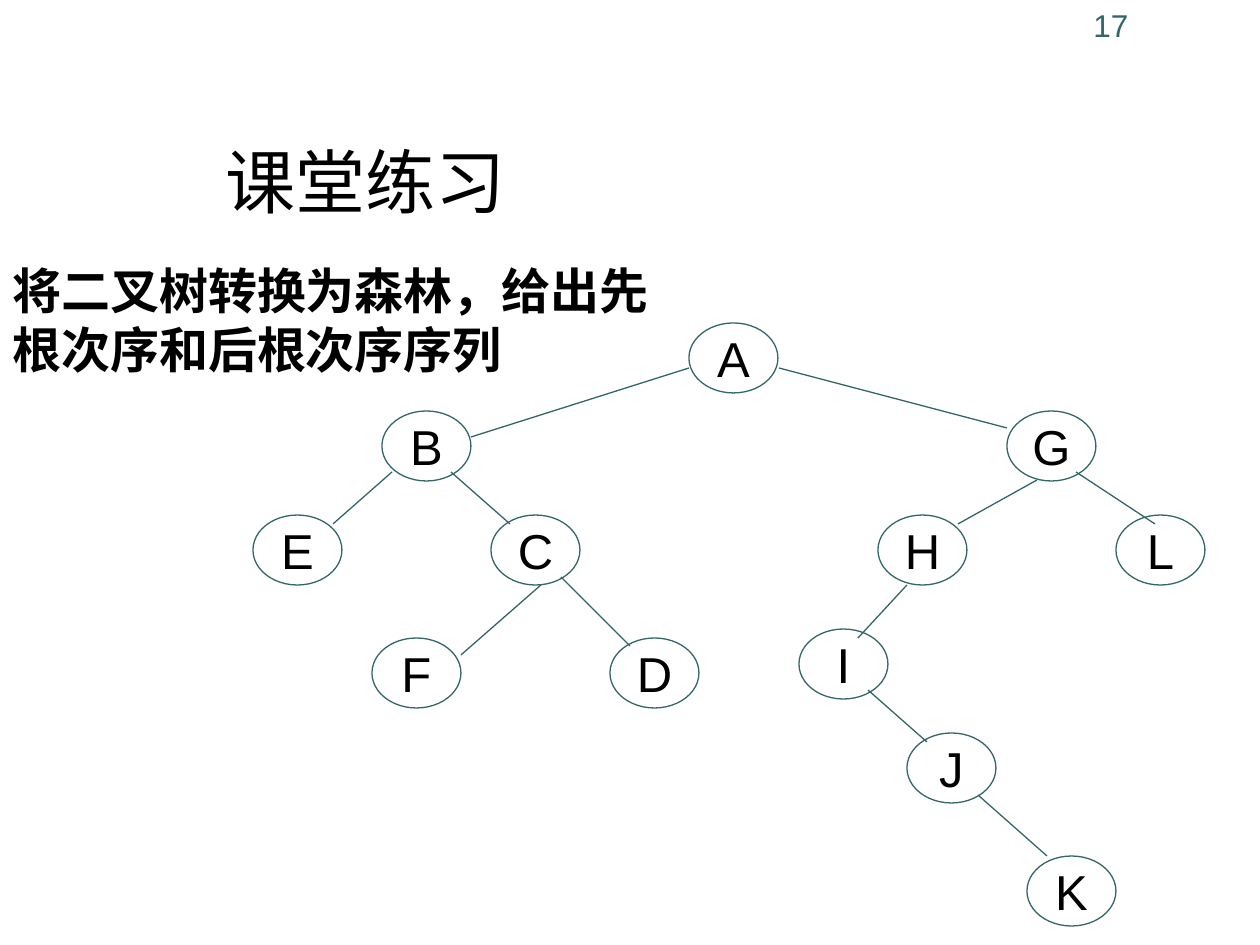
from lxml.etree import SubElement
from pptx import Presentation
from pptx.dml.color import RGBColor
from pptx.enum.shapes import MSO_CONNECTOR, MSO_SHAPE
from pptx.enum.text import MSO_ANCHOR, PP_ALIGN
from pptx.oxml.ns import qn
from pptx.util import Emu, Pt

SCALE = 914400 // 126  # EMU in one pixel
TEAL = RGBColor(0x33, 0x66, 0x66)
BLACK = RGBColor(0, 0, 0)
LINE_WIDTH = Pt(0.74)
NODE_SIZE = (89, 70)

# Left and top of each node, relative to the tree
NODES = {
    "A": (436, 0), "B": (129, 88), "E": (0, 192), "C": (238, 192),
    "F": (119, 315), "D": (357, 315), "I": (546, 306), "J": (654, 410),
    "K": (774, 533), "G": (754, 88), "H": (625, 192), "L": (863, 192),
}

# Parent, child, and the two ends of the branch, relative to each node
BRANCHES = [
    ("A", "B", (0, 45), (89, 26)), ("A", "G", (90, 45), (0, 17)),
    ("B", "E", (10, 61), (80, 9)), ("B", "C", (69, 61), (19, 9)),
    ("G", "H", (30, 69), (80, 9)), ("G", "L", (69, 61), (39, 9)),
    ("C", "F", (50, 70), (89, 17)), ("C", "D", (70, 62), (20, 8)),
    ("H", "I", (29, 70), (59, 9)), ("I", "J", (69, 61), (20, 9)),
    ("J", "K", (71, 62), (20, 0)),
]


def px(*lengths):
    return [Emu(length * SCALE) for length in lengths]


def write(shape, text, size, color=BLACK, bold=False, align=PP_ALIGN.LEFT,
          anchor=MSO_ANCHOR.TOP, wrap=True):
    frame = shape.text_frame
    frame.word_wrap = wrap
    frame.vertical_anchor = anchor
    para = frame.paragraphs[0]
    para.alignment = align
    span = para.add_run()
    span.text = text
    span.font.name = "Arial"
    span.font.size = Pt(size)
    span.font.bold = bold
    span.font.color.rgb = color


def add_text(page, box, text, size, **style):
    write(page.shapes.add_textbox(*px(*box)), text, size, **style)


def add_node(group, left, top, letter):
    node = group.shapes.add_shape(MSO_SHAPE.OVAL, *px(left, top, *NODE_SIZE))
    node.shadow.inherit = False
    node.fill.background()
    node.line.color.rgb = TEAL
    node.line.width = LINE_WIDTH
    write(node, letter, 28, align=PP_ALIGN.CENTER, anchor=MSO_ANCHOR.MIDDLE,
          wrap=False)


def add_branch(group, start, end):
    branch = group.shapes.add_connector(MSO_CONNECTOR.STRAIGHT, *px(*start, *end))
    branch.line.color.rgb = TEAL
    branch.line.width = LINE_WIDTH
    SubElement(branch._element.spPr, qn("a:effectLst"))


def add_tree(page, left, top):
    group = page.shapes.add_group_shape()
    places = {letter: (left + x, top + y) for letter, (x, y) in NODES.items()}
    for letter, place in places.items():
        add_node(group, *place, letter)
    for parent, child, start, end in BRANCHES:
        add_branch(group,
                   [a + b for a, b in zip(places[parent], start)],
                   [a + b for a, b in zip(places[child], end)])


def build_exercise(page):
    # Page number and title
    add_text(page, (1081, 0, 179, 63), "17", 18, color=TEAL)
    add_text(page, (213, 76, 966, 210), "课堂练习", 40, anchor=MSO_ANCHOR.MIDDLE)
    # Binary tree
    add_tree(page, 253, 323)
    # Task
    add_text(page, (0, 254, 704, 131),
             "将二叉树转换为森林，给出先根次序和后根次序序列", 28, bold=True)


deck = Presentation()
deck.slide_width, deck.slide_height = px(1260, 945)
build_exercise(deck.slides.add_slide(deck.slide_layouts[6]))
deck.save("out.pptx")
